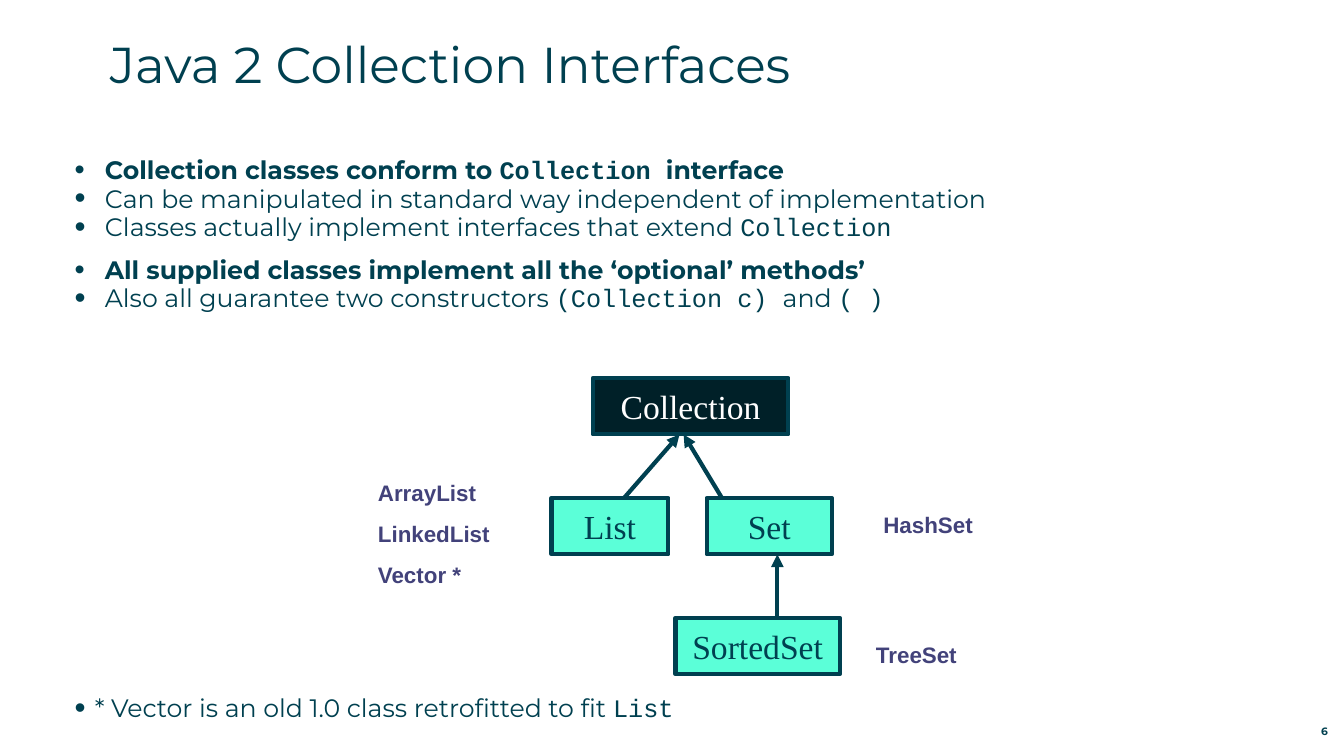
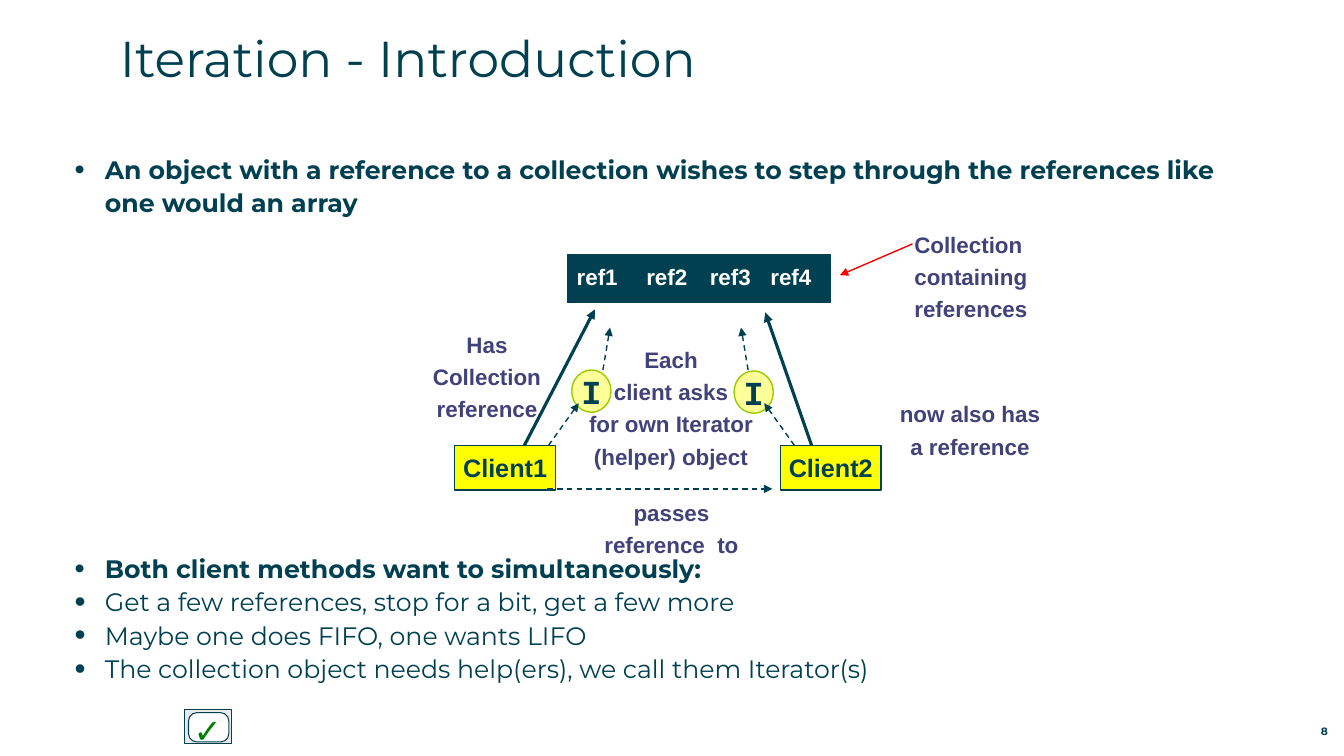
from copy import deepcopy

from lxml.etree import SubElement
from pptx import Presentation
from pptx.dml.color import RGBColor
from pptx.enum.dml import MSO_LINE
from pptx.enum.shapes import MSO_CONNECTOR, MSO_SHAPE
from pptx.enum.text import MSO_ANCHOR, MSO_AUTO_SIZE, PP_ALIGN
from pptx.oxml.ns import qn
from pptx.util import Inches, Pt

# Shared look
TEAL, NAVY, MINT, YELLOW = "004050", "002028", "5BFFD8", "FFFF00"
WHITE, PURPLE = "FFFFFF", "42427A"
TITLE = dict(size=36, name="Montserrat", color=TEAL)
BODY = dict(size=18, name="Montserrat", color=TEAL)
NUMBER = dict(size=7.6, name="Montserrat", color=TEAL, bold=True)
NODE = dict(size=24, name="Times New Roman", color=TEAL)
LABEL = dict(size=16, name="Arial", color=PURPLE, bold=True)
CELL = dict(LABEL, color=WHITE)
CLIENT = dict(LABEL, size=18, color=TEAL)
ITERATOR = dict(size=24, name="Courier New", color=TEAL, bold=True)
CHECK = dict(LABEL, size=24, color="008000")
LABEL_SPACING = dict(line_spacing=1.2, space_before=Pt(3.2), space_after=Pt(3.2))
LABEL_INSETS = (0.1, 0.06, 0.1, 0.06)
LEFT, CENTER, RIGHT = PP_ALIGN.LEFT, PP_ALIGN.CENTER, PP_ALIGN.RIGHT

# Slide content: bullets are (level, gap above in points, text); code sits in backticks
COLLECTIONS = dict(
    title="Java 2 Collection Interfaces", title_at=(1.09, 0.34), number="6",
    body_width=12.59, space_after=6.5, sub_spacing=Pt(14),
    bullets=[
        (0, 0, "Collection classes conform to `Collection `interface"),
        (1, 0, "Can be manipulated in standard way independent of implementation"),
        (1, 0, "Classes actually implement interfaces that extend `Collection`"),
        (0, 0, "All supplied classes implement all the ‘optional’ methods’"),
        (1, 0, "Also all guarantee two constructors `(Collection c) `and `( )`"),
        (1, 272.3, "* Vector is an old 1.0 class retrofitted to fit `List`"),
    ],
    indents=[0.3, 0.3, 0.3, 0.3, 0.3, 0.2],
)
ITERATION = dict(
    title="Iteration - Introduction", title_at=(1.19, 0.29), number="8",
    body_width=11.62, space_after=0, sub_spacing=1.1,
    bullets=[
        (0, 0, "An object with a reference to a collection wishes to step through "
               "the references like one would an array"),
        (0, 237.6, "Both client methods want to simultaneously:"),
        (1, 0, "Get a few references, stop for a bit, get a few more"),
        (1, 0, "Maybe one does FIFO, one wants LIFO"),
        (1, 0, "The collection object needs help(ers), we call them Iterator(s)"),
    ],
    indents=[0.3] * 5,
)

# Interface tree: name -> left, row, width, fill, text colour
TREE_TOP, TREE_PITCH, NODE_HEIGHT = 3.75, 1.19, 0.56
TREE = {
    "Collection": (5.88, 0, 1.94, NAVY, WHITE),
    "Set": (7.01, 1, 1.24, MINT, TEAL),
    "List": (5.47, 1, 1.16, MINT, TEAL),
    "SortedSet": (6.7, 2, 1.63, MINT, TEAL),
}
# Child, x at its top, parent, x at its bottom
EXTENDS = [("SortedSet", 7.71, "Set", 7.71), ("List", 6.19, "Collection", 6.74),
           ("Set", 7.16, "Collection", 6.78)]
# Text, box, alignment, wrap
CLASS_LABELS = [
    ("HashSet", (8.65, 4.96, 1.11, 0.41), CENTER, False),
    ("ArrayList\nLinkedList\nVector *", (3.65, 4.64, 1.32, 1.29), LEFT, False),
    ("TreeSet", (8.59, 6.25, 1.47, 0.41), LEFT, True),
]

# Iteration diagram
CELLS_LEFT, CELLS_TOP, CELL_HEIGHT = 5.63, 2.53, 0.47
CELLS = [("ref1", 0.64, 0.09), ("ref2", 0.64, 0.14),
         ("ref3", 0.64, 0.13), ("ref4", 0.69, 0.09)]  # text, width, left inset
CLIENTS = [("Client1", 4.51), ("Client2", 7.74)]
CLIENT_TOP, CLIENT_SIZE = 4.42, (1, 0.44)
ITERATORS = [(5.67, 3.67), (7.28, 3.68)]
ITERATOR_SIZE = (0.39, 0.42)
ITERATION_LABELS = [
    ("Collection containing references", (8.97, 2.18, 1.51, 1.07), LEFT, True),
    ("Has\vCollection\vreference", (4.17, 3.17, 1.32, 1.07), CENTER, True),
    ("passes\vreference  to", (5.88, 4.84, 1.56, 0.75), CENTER, True),
    ("now also has\va reference", (8.81, 3.86, 1.62, 0.75), CENTER, True),
    ("Each\vclient asks\vfor own Iterator\v(helper) object",
     (5.63, 3.32, 2.05, 1.4), CENTER, True),
]
SOLID, DASHED, POINTER = (TEAL, 2.25, False), (TEAL, 1, True), ("FF0000", 1, False)
ARROWS = [
    ((9.05, 2.42), (8.33, 2.73), POINTER),
    ((5.2, 4.42), (5.9, 3.07), SOLID),
    ((8.05, 4.42), (7.59, 3.1), SOLID),
    ((5.44, 4.42), (5.74, 4), DASHED),
    ((5.98, 3.67), (6.05, 3.25), DASHED),
    ((7.88, 4.42), (7.58, 4), DASHED),
    ((7.42, 3.67), (7.35, 3.25), DASHED),
    ((5.43, 4.85), (7.66, 4.85), DASHED),
]


def rgb(color):
    return RGBColor.from_string(color)


def format_run(run, size, color, **values):
    run.font.size = Pt(size)
    run.font.color.rgb = rgb(color)
    for name, value in values.items():
        setattr(run.font, name, value)


def format_paragraph(paragraph, **values):
    for name, value in values.items():
        setattr(paragraph, name, value)


def set_frame(frame, insets=(0, 0, 0, 0), wrap=True, anchor=MSO_ANCHOR.TOP):
    frame.auto_size = MSO_AUTO_SIZE.NONE
    frame.word_wrap = wrap
    frame.vertical_anchor = anchor
    for side, inset in zip(("left", "top", "right", "bottom"), insets):
        setattr(frame, f"margin_{side}", Inches(inset))


def write(frame, text, font, align=CENTER, **spacing):
    frame.text = text
    for paragraph in frame.paragraphs:
        format_paragraph(paragraph, alignment=align, **spacing)
        for run in paragraph.runs:
            format_run(run, **font)
        # Line breaks take the size of the text around them
        for line_break in paragraph._p.findall(qn("a:br")):
            line_break.insert(0, deepcopy(paragraph.runs[0]._r.rPr))


def place(shape, left, top, width, height):
    for name, value in zip(("left", "top", "width", "height"), (left, top, width, height)):
        setattr(shape, name, Inches(value))


def add_text(slide, text, box, font, align, insets=(0, 0, 0, 0), wrap=True,
             anchor=MSO_ANCHOR.TOP, **spacing):
    frame = slide.shapes.add_textbox(*map(Inches, box)).text_frame
    set_frame(frame, insets, wrap, anchor)
    write(frame, text, font, align, **spacing)


def add_labels(slide, labels):
    for text, box, align, wrap in labels:
        add_text(slide, text, box, LABEL, align, LABEL_INSETS, wrap, **LABEL_SPACING)


def add_box(slide, box, fill, line=TEAL, weight=1, kind=MSO_SHAPE.RECTANGLE):
    shape = slide.shapes.add_shape(kind, *map(Inches, box))
    shape.shadow.inherit = False
    shape.fill.solid()
    shape.fill.fore_color.rgb = rgb(fill)
    shape.line.color.rgb = rgb(line)
    shape.line.width = Pt(weight)
    set_frame(shape.text_frame, wrap=False, anchor=MSO_ANCHOR.MIDDLE)
    return shape


def add_arrow(slide, start, end, color, weight, dashed):
    arrow = slide.shapes.add_connector(MSO_CONNECTOR.STRAIGHT, *map(Inches, start + end))
    arrow.line.color.rgb = rgb(color)
    arrow.line.width = Pt(weight)
    if dashed:
        arrow.line.dash_style = MSO_LINE.DASH
    SubElement(arrow.line._get_or_add_ln(), qn("a:tailEnd"), type="triangle")
    SubElement(arrow._element.spPr, qn("a:effectLst"))


def add_bullet(paragraph, level, indent):
    properties = paragraph._p.get_or_add_pPr()
    properties.set("marL", str(Inches(indent)))
    properties.set("indent", str(-Inches(indent)))
    SubElement(properties, qn("a:buSzPct"), val="125000" if level else "115000")
    SubElement(properties, qn("a:buFont"), typeface="Arial")
    SubElement(properties, qn("a:buChar"), char="•")


def add_slide(presentation, content):
    slide = presentation.slides.add_slide(presentation.slide_layouts[1])
    title, body = slide.placeholders
    place(title, *content["title_at"], 12, 0.88)
    set_frame(title.text_frame)
    write(title.text_frame, content["title"], TITLE, LEFT, line_spacing=Pt(42))

    place(body, 0.74, 1.5, content["body_width"], 5.42)
    frame = body.text_frame
    set_frame(frame)
    for index, (level, gap, text) in enumerate(content["bullets"]):
        paragraph = frame.add_paragraph() if index else frame.paragraphs[0]
        format_paragraph(paragraph, level=level, alignment=LEFT,
                         line_spacing=content["sub_spacing"] if level else 1.1,
                         space_before=Pt(gap), space_after=Pt(content["space_after"]))
        add_bullet(paragraph, level, content["indents"][index])
        for part, piece in enumerate(text.split("`")):
            if piece:
                run = paragraph.add_run()
                run.text = piece
                name = "Courier New" if part % 2 else "Montserrat"
                format_run(run, **dict(BODY, name=name, bold=level == 0))

    add_text(slide, content["number"], (12.31, 7.12, 0.86, 0.2), NUMBER, RIGHT,
             anchor=MSO_ANCHOR.BOTTOM)
    return slide


def draw_tree(slide):
    tops = {name: TREE_TOP + node[1] * TREE_PITCH for name, node in TREE.items()}
    for name, (left, _, width, fill, color) in TREE.items():
        node = add_box(slide, (left, tops[name], width, NODE_HEIGHT), fill, weight=3)
        write(node.text_frame, name, dict(NODE, color=color))
    for child, start, parent, end in EXTENDS:
        add_arrow(slide, (start, tops[child]), (end, tops[parent] + NODE_HEIGHT),
                  TEAL, 3, False)
    add_labels(slide, CLASS_LABELS)


def draw_iteration(slide):
    # Collection of references
    left = CELLS_LEFT
    for text, width, inset in CELLS:
        cell = add_box(slide, (left, CELLS_TOP, width, CELL_HEIGHT), TEAL, weight=0.75)
        set_frame(cell.text_frame, (inset, 0, 0, 0.05), anchor=MSO_ANCHOR.MIDDLE)
        write(cell.text_frame, text, CELL, LEFT)
        left += width
    # Clients and their iterators
    for name, left in CLIENTS:
        client = add_box(slide, (left, CLIENT_TOP, *CLIENT_SIZE), YELLOW)
        write(client.text_frame, name, CLIENT)
    for position in ITERATORS:
        iterator = add_box(slide, position + ITERATOR_SIZE, "FFFF99", "99CC00",
                           kind=MSO_SHAPE.OVAL)
        write(iterator.text_frame, "I", ITERATOR)
    for start, end, style in ARROWS:
        add_arrow(slide, start, end, *style)
    add_labels(slide, ITERATION_LABELS)
    # Check button
    add_box(slide, (1.83, 7.04, 0.47, 0.34), "EAEAEA", weight=0.75)
    button = add_box(slide, (1.87, 7.07, 0.4, 0.29), WHITE, weight=0.75,
                     kind=MSO_SHAPE.ROUNDED_RECTANGLE)
    button.adjustments[0] = 0.28
    add_text(slide, "✓", (1.83, 6.99, 0.46, 0.5), CHECK, CENTER,
             (0.1, 0.05, 0.1, 0.05), False)


def main():
    presentation = Presentation()
    presentation.slide_width, presentation.slide_height = Inches(13.33), Inches(7.5)
    draw_tree(add_slide(presentation, COLLECTIONS))
    draw_iteration(add_slide(presentation, ITERATION))
    presentation.save("out.pptx")


if __name__ == "__main__":
    main()
